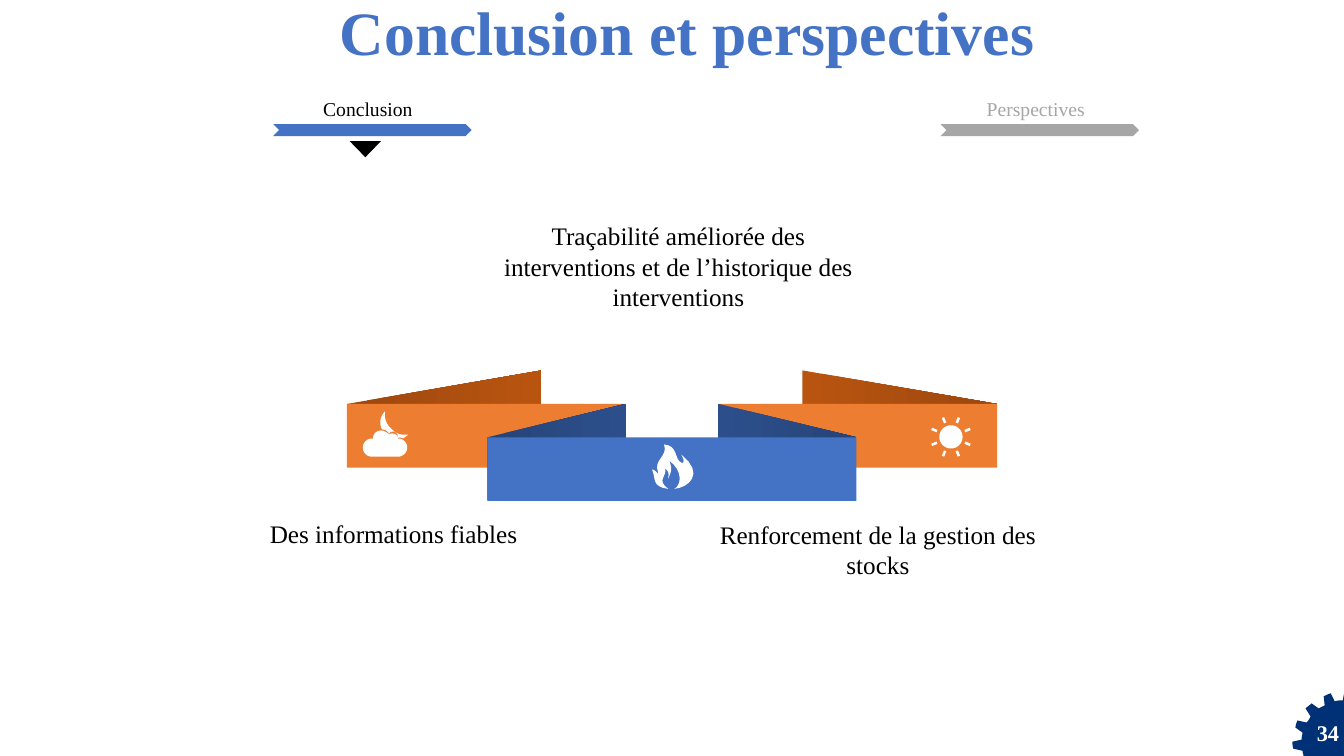
import math
from dataclasses import dataclass

from pptx import Presentation
from pptx import util as u
from pptx.dml.color import RGBColor
from pptx.enum import shapes, text


@dataclass(frozen=True)
class Theme:
    font: str = "Times New Roman"
    black: str = "000000"
    white: str = "FFFFFF"
    grey: str = "A6A6A6"
    blue: str = "4472C4"
    orange: str = "ED7D31"
    navy: str = "003076"
    blue_fold: tuple = ("2C4F8C", "264478")
    orange_fold: tuple = ("B85410", "9E480E")
    title_size: int = 44
    body_size: int = 18
    number_size: int = 16
    label_size: int = 14


# Outlines on a grid of 0.72 pt, measured from each outline's own corner
GRID = 0.72
GEAR = """M 38 0 L 42 8 C 45 7 47 7 50 7 L 51 1 L 51 15 L 48 15 C 32 17 19 30 17 46
C 17 51 18 56 19 60 L 21 62 L 11 62 C 11 61 10 59 10 57 L 1 55 C 0 53 0 50 0 48
L 9 46 C 9 43 10 41 10 39 L 3 34 C 3 32 4 29 5 27 L 14 29 C 16 27 17 25 18 23
L 13 15 C 15 13 17 12 19 10 L 26 15 C 28 14 30 13 32 12 L 31 3 C 33 2 35 1 38 0"""
HUB = "M 51 13 L 51 62 L 13 62 L 13 56 C 13 35 26 18 44 14"
CLOUD_MOON = """M 18 19 C 21 19 24 21 26 23 C 27 22 28 22 29 22 C 32 22 35 24 35 27
C 40 27 44 31 44 36 C 44 40 41 44 36 45 L 11 45 L 9 45 C 4 45 0 41 0 36
C 0 31 4 27 9 27 L 10 27 C 10 22 14 19 18 19
M 22 0 C 21 6 23 13 28 17 C 32 22 38 24 45 23 C 43 25 41 26 40 27 C 38 26 37 26 35 26
C 35 23 33 20 30 20 C 28 20 27 21 26 22 C 24 19 22 18 19 18 C 16 12 17 5 22 0"""
FLAME = """M 16 44 C -1 42 4 33 0 25 C 3 24 7 32 6 28 C 1 14 16 13 12 0
C 26 1 22 15 29 18 C 31 19 33 17 29 10 C 53 29 36 43 22 44 C 29 41 31 26 17 16
C 21 25 18 29 16 34 C 16 32 18 27 13 24 C 15 32 4 35 16 44"""


def trace(outline, left, top, steps=8):
    """Turn an outline of M, L and C commands into contours of points."""
    contours = []
    words = iter(outline.split())
    for command in words:
        count = 3 if command == "C" else 1
        points = [(left + GRID * float(next(words)), top + GRID * float(next(words)))
                  for _ in range(count)]
        if command == "M":
            contours.append(points)
        elif command == "L":
            contours[-1] += points
        else:
            curve = [contours[-1][-1], *points]
            for step in range(1, steps + 1):
                t = step / steps
                weights = [math.comb(3, i) * t**i * (1 - t) ** (3 - i) for i in range(4)]
                contours[-1].append(tuple(
                    sum(w * point[axis] for w, point in zip(weights, curve))
                    for axis in (0, 1)))
    return contours


def sun(x, y, radius=8.3, near=10.8, far=14.9, half=0.9, rays=8):
    """Contours of a disc with evenly turned rays."""
    def circle_point(angle, distance, shift=0):
        cos, sin = math.cos(angle), math.sin(angle)
        return x + distance * cos - shift * sin, y + distance * sin + shift * cos

    contours = [[circle_point(math.radians(a), radius) for a in range(0, 360, 10)]]
    for ray in range(rays):
        angle = math.tau * (ray + 0.5) / rays
        contours.append([circle_point(angle, near, -half), circle_point(angle, far, -half),
                         circle_point(angle, far, half), circle_point(angle, near, half)])
    return contours


class SlideBuilder:
    def __init__(self, page, theme):
        self.page = page
        self.theme = theme

    def paint(self, shape, fill):
        """Fill with one colour, or with a pair as a left-to-right gradient."""
        shape.shadow.inherit = False
        shape.line.fill.background()
        if isinstance(fill, str):
            shape.fill.solid()
            shape.fill.fore_color.rgb = RGBColor.from_string(fill)
            return
        shape.fill.gradient()
        shape.fill.gradient_angle = 0
        for stop, position, color in zip(shape.fill.gradient_stops, (0.03, 0.97), fill):
            stop.position = position
            stop.color.rgb = RGBColor.from_string(color)

    def preset(self, kind, left, top, width, height, fill, rotation=0):
        shape = self.page.shapes.add_shape(
            kind, u.Pt(left), u.Pt(top), u.Pt(width), u.Pt(height))
        shape.rotation = rotation
        self.paint(shape, fill)

    def outline(self, contours, fill):
        hundredths = [[(x * 100, y * 100) for x, y in contour] for contour in contours]
        builder = self.page.shapes.build_freeform(*hundredths[0][0], scale=u.Pt(1) / 100)
        for index, contour in enumerate(hundredths):
            if index:
                builder.move_to(*contour[0])
            builder.add_line_segments(contour[1:], close=True)
        self.paint(builder.convert_to_shape(), fill)

    def set_words(self, box, words, size, color, bold=False):
        box.text_frame.text = words
        para = box.text_frame.paragraphs[0]
        para.alignment = text.PP_ALIGN.CENTER
        para.font.name = self.theme.font
        para.font.size = u.Pt(size)
        para.font.bold = bold
        para.font.color.rgb = RGBColor.from_string(color)
        return para

    def title(self, words, left, top, width, height):
        box = self.page.shapes.title
        box.left, box.top, box.width, box.height = map(u.Pt, (left, top, width, height))
        frame = box.text_frame
        frame.margin_left = frame.margin_right = frame.margin_top = frame.margin_bottom = 0
        frame.vertical_anchor = text.MSO_ANCHOR.TOP
        frame.auto_size = text.MSO_AUTO_SIZE.NONE
        para = self.set_words(box, words, self.theme.title_size, self.theme.blue, bold=True)
        para.line_spacing = u.Pt(28)

    def text_box(self, words, left, top, width, height, size, color,
                 bold=False, wrap=True, anchor=text.MSO_ANCHOR.TOP):
        box = self.page.shapes.add_textbox(
            u.Pt(left), u.Pt(top), u.Pt(width), u.Pt(height))
        box.text_frame.word_wrap = wrap
        box.text_frame.vertical_anchor = anchor
        self.set_words(box, words, size, color, bold)

    def fold(self, center, side, inner, outer, top, fill):
        """Slanted back of the ribbon; side is -1 for left and 1 for right."""
        near, far = center + side * inner, center + side * outer
        points = [(near, top), (far, top + 24), (far, top + 69), (near, top + 45)]
        self.outline([points], fill[::side])


def main():
    deck = Presentation()
    deck.slide_width, deck.slide_height = u.Pt(960), u.Pt(540)
    page = deck.slides.add_slide(deck.slide_layouts[5])
    theme = Theme()
    builder = SlideBuilder(page, theme)
    kinds = shapes.MSO_SHAPE

    builder.title("Conclusion et perspectives", 105.8, 20.2, 770.4, 32.4)

    # Progress markers
    for label, left, label_left, label_width, bar, color in (
            ("Conclusion", 195.1, 223.2, 79.2, theme.blue, theme.black),
            ("Perspectives", 671.8, 697, 85.7, theme.grey, theme.grey)):
        builder.preset(kinds.CHEVRON, left, 88.6, 141.8, 8.6, bar)
        builder.text_box(label, label_left, 65.5, label_width, 24.5,
                         theme.label_size, color, wrap=False)
    builder.preset(kinds.ISOSCELES_TRIANGLE, 249.8, 100.8, 22.3, 11.5, theme.black, 180)

    # Page number on a gear
    for part in (GEAR, HUB):
        builder.outline(trace(part, 923.2, 495.2), theme.navy)
    builder.text_box("34", 931.7, 513.4, 33.8, 19.4, theme.number_size, theme.white,
                     bold=True, anchor=text.MSO_ANCHOR.MIDDLE)

    # Folded ribbon, mirrored about the middle of the slide
    center, band_height = 480, 45.4
    inner, outer = 33.8, 232.3
    for side in (1, -1):
        builder.fold(center, side, 93.2, outer, 264.6, theme.orange_fold)
        left = center + inner if side == 1 else center - outer
        builder.preset(kinds.RECTANGLE, left, 288.6, outer - inner, band_height, theme.orange)
    half = 131.8
    for side in (1, -1):
        builder.fold(center, side, 32.8, half, 288.4, theme.blue_fold)
    builder.preset(kinds.RECTANGLE, center - half, 312.4, 2 * half, band_height, theme.blue)

    # Ribbon icons
    for icon in (sun(679.3, 312.1), trace(CLOUD_MOON, 259.2, 293.8),
                 trace(FLAME, 465.8, 317.5)):
        builder.outline(icon, theme.white)

    # Key points
    for words, left, top, width, height in (
            ("Traçabilité améliorée des interventions et de l’historique des interventions",
             340.6, 154.1, 288, 72.7),
            ("Des informations fiables", 172.1, 366.5, 218.2, 28.8),
            ("Renforcement de la gestion des stocks", 483.1, 367.2, 288, 51.1)):
        builder.text_box(words, left, top, width, height, theme.body_size, theme.black)

    deck.save("out.pptx")


if __name__ == "__main__":
    main()
